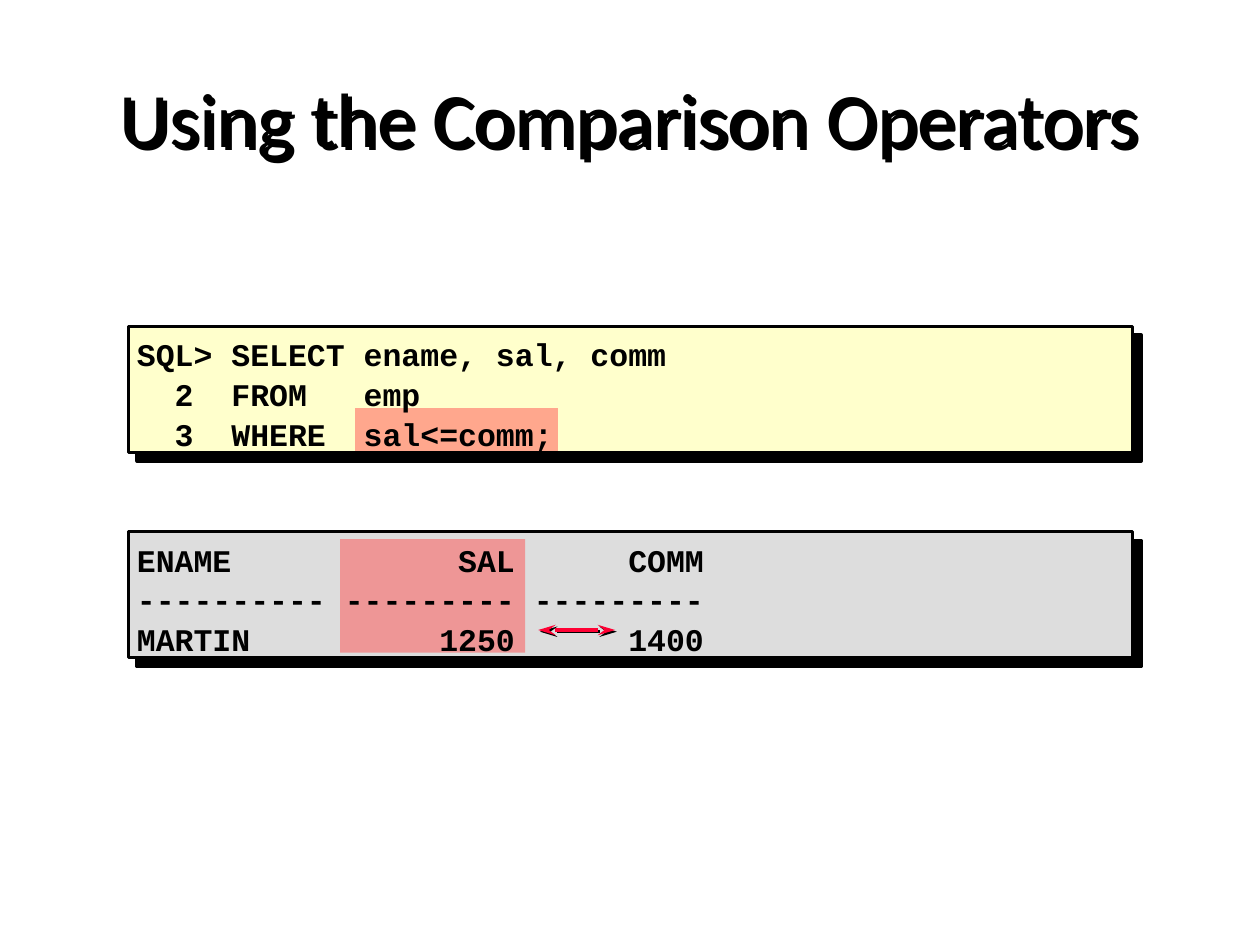
from dataclasses import dataclass

from lxml import etree
from pptx import Presentation
from pptx.dml.color import RGBColor
from pptx.enum.shapes import MSO_CONNECTOR, MSO_SHAPE
from pptx.enum.text import MSO_ANCHOR, PP_ALIGN
from pptx.oxml.ns import qn
from pptx.util import Cm, Pt

RECTANGLE = MSO_SHAPE.RECTANGLE
STRAIGHT = MSO_CONNECTOR.STRAIGHT
MIDDLE = MSO_ANCHOR.MIDDLE
CENTER = PP_ALIGN.CENTER
LEFT = PP_ALIGN.LEFT

BLACK = "000000"
HIGHLIGHT = "FF5050"
ARROW_RED = "FF0033"
EMU_PER_POINT = 12700


@dataclass(frozen=True)
class Area:
    left: float
    top: float
    width: float
    height: float

    def lengths(self) -> tuple:
        return Cm(self.left), Cm(self.top), Cm(self.width), Cm(self.height)


@dataclass(frozen=True)
class Listing:
    top: float
    fill: str
    lines: tuple[str, ...]
    highlight: Area


LISTINGS = (
    Listing(6.58, "FFFFCC", (
        "SQL> SELECT ename, sal, comm",
        "  2  FROM   emp",
        "  3  WHERE  sal<=comm;",
    ), Area(7.16, 8.23, 4.09, 0.86)),
    Listing(10.72, "DDDDDD", (
        "ENAME            SAL      COMM",
        "---------- --------- ---------",
        "MARTIN          1250      1400",
    ), Area(6.86, 10.87, 3.73, 2.29)),
)


def color(value: str) -> RGBColor:
    return RGBColor.from_string(value)


def add_shadow(item, distance: float) -> None:
    """Cast a solid black shadow down and to the right; distance is in points."""
    properties = item._element.spPr
    effects = properties.find(qn("a:effectLst"))
    if effects is None:
        effects = etree.SubElement(properties, qn("a:effectLst"))
    shadow = etree.SubElement(
        effects, qn("a:outerShdw"), dist=str(round(distance * EMU_PER_POINT)),
        dir="2700000", algn="ctr", rotWithShape="0")
    etree.SubElement(shadow, qn("a:srgbClr"), val=BLACK)


def add_rectangle(page, area: Area, fill: str):
    box = page.shapes.add_shape(RECTANGLE, *area.lengths())
    box.shadow.inherit = False
    box.fill.solid()
    box.fill.fore_color.rgb = color(fill)
    box.line.fill.background()
    return box


def add_panel(page, listing: Listing) -> None:
    panel = add_rectangle(page, Area(2.59, listing.top, 20.24, 2.54), listing.fill)
    panel.line.color.rgb = color(BLACK)
    panel.line.width = Pt(2)
    add_shadow(panel, 7.1)


def add_highlight(page, area: Area) -> None:
    mark = add_rectangle(page, area, HIGHLIGHT)
    shade = mark._element.spPr.find(qn("a:solidFill")).find(qn("a:srgbClr"))
    etree.SubElement(shade, qn("a:alpha"), val="50000")


def add_text(page, area: Area, lines: tuple[str, ...], font: str, size: float,
             bold: bool = False, align=LEFT, spacing: float = 1.0):
    box = page.shapes.add_textbox(*area.lengths())
    frame = box.text_frame
    frame.word_wrap = True
    frame.vertical_anchor = MIDDLE
    for index, line in enumerate(lines):
        para = frame.add_paragraph() if index else frame.paragraphs[0]
        para.alignment = align
        para.line_spacing = spacing
        span = para.add_run()
        span.text = line
        span.font.name = font
        span.font.size = Pt(size)
        span.font.bold = bold
        span.font.color.rgb = color(BLACK)
    return box


def add_code(page, listing: Listing) -> None:
    area = Area(2.51, listing.top - 0.03, 20.32, 2.62)
    box = add_text(page, area, listing.lines, "Courier New", 18,
                   bold=True, spacing=1.05)
    box.text_frame.margin_top = Cm(0.25)


def add_double_arrow(page, start: float, end: float, height: float) -> None:
    arrow = page.shapes.add_connector(
        STRAIGHT, Cm(start), Cm(height), Cm(end), Cm(height))
    arrow.line.color.rgb = color(ARROW_RED)
    arrow.line.width = Pt(2)
    outline = arrow._element.spPr.find(qn("a:ln"))
    for tip in ("a:headEnd", "a:tailEnd"):
        etree.SubElement(outline, qn(tip), type="stealth", w="med", len="lg")
    add_shadow(arrow, 1.4)


def main() -> None:
    deck = Presentation()
    deck.slide_width, deck.slide_height = Cm(25.4), Cm(19.05)
    page = deck.slides.add_slide(deck.slide_layouts[6])

    for listing in LISTINGS:
        add_panel(page, listing)
    title = add_text(page, Area(1.27, 0.76, 22.86, 3.18),
                     ("Using the Comparison Operators",), "Calibri", 44, align=CENTER)
    add_shadow(title, 2.8)
    for listing in LISTINGS:
        add_highlight(page, listing.highlight)
    for listing in LISTINGS:
        add_code(page, listing)
    add_double_arrow(page, 10.85, 12.4, 12.7)

    deck.save("out.pptx")


if __name__ == "__main__":
    main()
